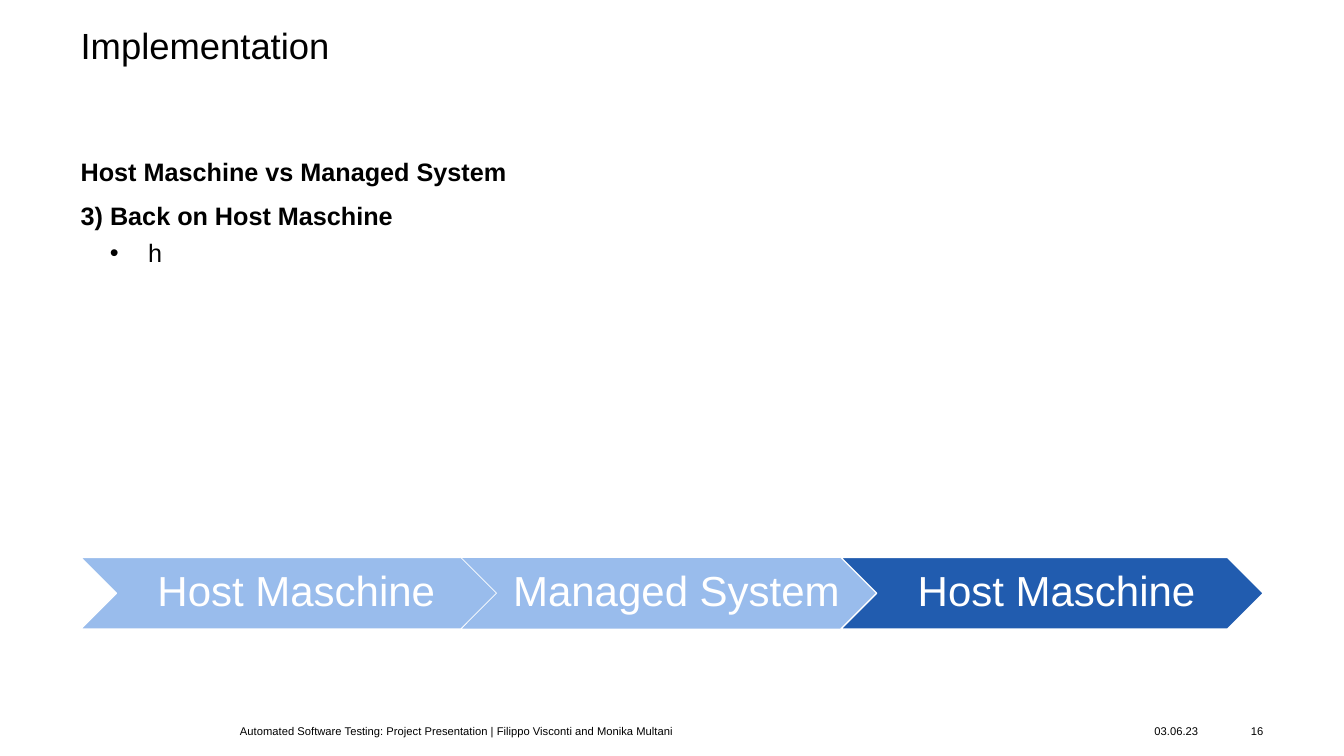
from lxml.etree import SubElement
from pptx import Presentation
from pptx.dml.color import RGBColor
from pptx.enum.shapes import MSO_SHAPE as Shape
from pptx.enum.text import MSO_ANCHOR as Anchor, MSO_AUTO_SIZE as AutoSize, PP_ALIGN as Align
from pptx.oxml.ns import qn
from pptx.util import Pt

EMU_PER_PX = 9144  # 100 px to the inch
COLORS = {"text": "000000", "light": "FFFFFF", "done": "99BCEC", "current": "215CAF"}


def px(length):
    return length * EMU_PER_PX


def rgb(name):
    return RGBColor.from_string(COLORS[name])


def set_bullet(paragraph, char=None, margin=0, indent=0):
    """Give the paragraph a bullet character, or none, and its indents."""
    props = paragraph._p.get_or_add_pPr()
    props.set("marL", str(px(margin)))
    props.set("indent", str(px(indent)))
    if char:
        SubElement(props, qn("a:buFont"), typeface="Arial")
        SubElement(props, qn("a:buChar"), char=char)
    else:
        SubElement(props, qn("a:buNone"))


def write(paragraph, text, size=18, color="text", bold=False, align=Align.LEFT,
          line=1.0, before=0):
    paragraph.alignment = align
    paragraph.line_spacing = line
    paragraph.space_before = Pt(before)
    run = paragraph.add_run()
    run.text = text
    font = run.font
    font.name, font.size, font.bold = "Arial", Pt(size), bold
    font.color.rgb = rgb(color)


class Deck:
    def __init__(self, width, height):
        self.presentation = Presentation()
        self.presentation.slide_width = px(width)
        self.presentation.slide_height = px(height)
        layout = self.presentation.slide_layouts[1]
        self.slide = self.presentation.slides.add_slide(layout)

    def frame(self, shape, anchor, insets=(0, 0, 0, 0)):
        """Prepare the text frame of a shape and return it."""
        frame = shape.text_frame
        frame.word_wrap = True
        frame.auto_size = AutoSize.NONE
        frame.vertical_anchor = anchor
        (frame.margin_left, frame.margin_top,
         frame.margin_right, frame.margin_bottom) = map(px, insets)
        return frame

    def placeholder(self, index, left, top, width, height):
        holder = self.slide.placeholders[index]
        holder.left, holder.top = px(left), px(top)
        holder.width, holder.height = px(width), px(height)
        return self.frame(holder, Anchor.TOP)

    def title(self, text, *box):
        write(self.placeholder(0, *box).paragraphs[0], text, size=26, line=0.9)

    def body(self, headings, points, *box):
        frame = self.placeholder(1, *box)
        for number, heading in enumerate(headings):
            paragraph = frame.add_paragraph() if number else frame.paragraphs[0]
            write(paragraph, heading, bold=True, before=10)
            set_bullet(paragraph)
        for point in points:
            paragraph = frame.add_paragraph()
            paragraph.level = 1
            write(paragraph, point, before=5)
            set_bullet(paragraph, "•", 67, -38)

    def footer(self, text, left, width, align=Align.LEFT):
        box = self.slide.shapes.add_textbox(px(left), px(713), px(width), px(24))
        write(self.frame(box, Anchor.MIDDLE).paragraphs[0], text, size=8, align=align)

    def chevron(self, text, fill, outline, *box):
        step = self.slide.shapes.add_shape(Shape.CHEVRON, *map(px, box))
        step.shadow.inherit = False
        step.fill.solid()
        step.fill.fore_color.rgb = rgb(fill)
        step.line.color.rgb = rgb("light")
        step.line.width = Pt(outline)
        frame = self.frame(step, Anchor.MIDDLE, (13, 4, 4, 4))
        write(frame.paragraphs[0], text, size=30, color="light",
              align=Align.CENTER, line=0.9)


def main():
    deck = Deck(1333, 750)
    deck.title("Implementation", 80, 28, 1173, 98)
    deck.body(["Host Maschine vs Managed System", "3) Back on Host Maschine"], ["h"],
              80, 155, 1173, 399)

    deck.footer("Automated Software Testing: Project Presentation | "
                "Filippo Visconti and Monika Multani", 238, 591)
    deck.footer("03.06.23", 1145, 67)
    deck.footer("16", 1218, 35, Align.RIGHT)

    steps = [("Host Maschine", "done", 1),
             ("Managed System", "done", 0.5),
             ("Host Maschine", "current", 1)]
    for number, (label, fill, outline) in enumerate(steps):
        deck.chevron(label, fill, outline, 80 + number * 377, 553, 419, 71)

    deck.presentation.save("out.pptx")


if __name__ == "__main__":
    main()
